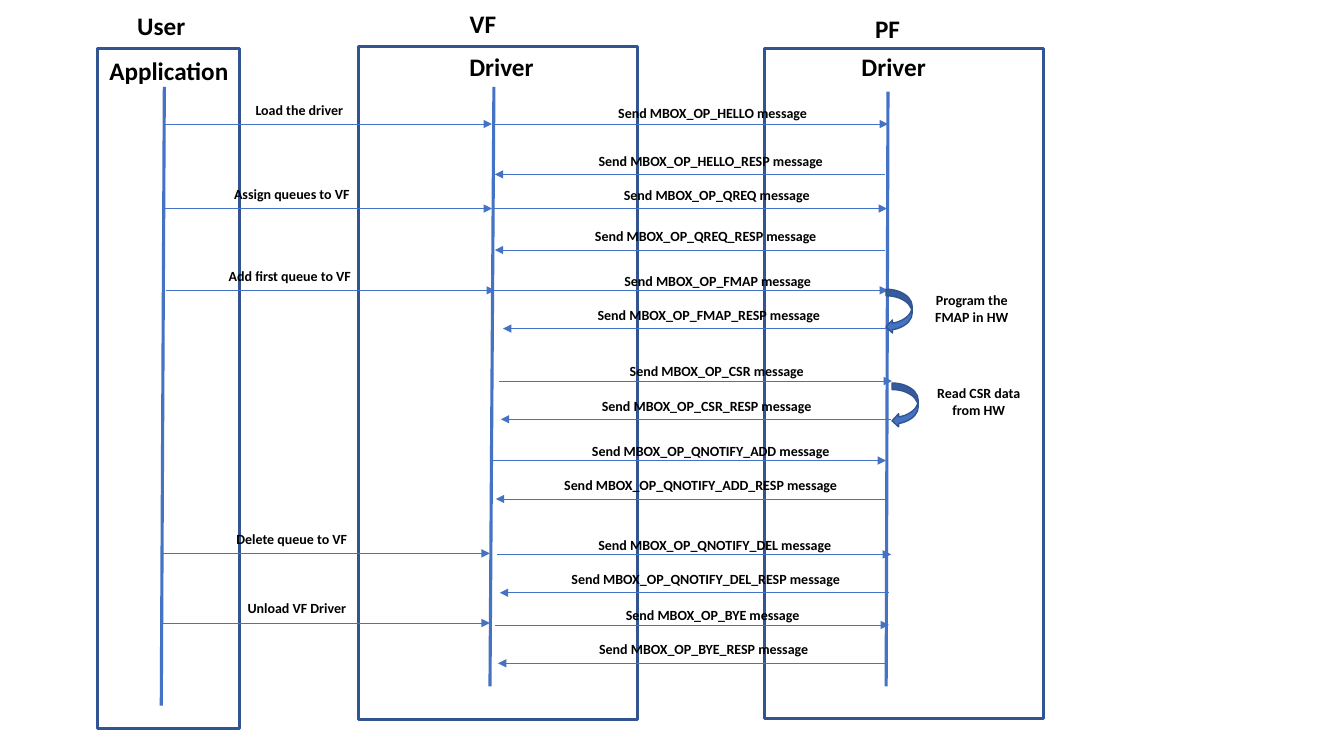
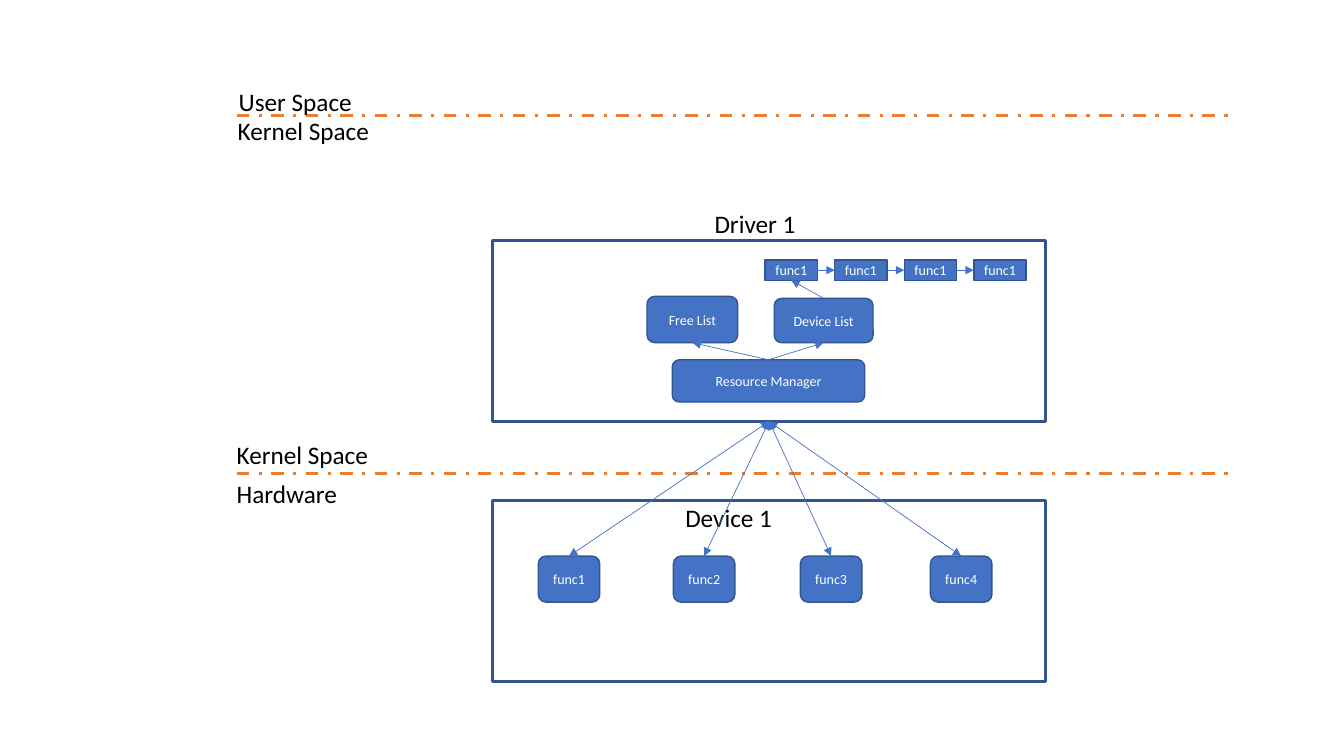
"""Build two driver diagrams: a mailbox message sequence and a resource layout."""
from dataclasses import dataclass

from pptx import Presentation
from pptx.dml.color import RGBColor
from pptx.enum.dml import MSO_LINE_DASH_STYLE as Dash
from pptx.enum.shapes import MSO_CONNECTOR as Connector, MSO_SHAPE as Preset
from pptx.enum.text import MSO_ANCHOR as Anchor, MSO_AUTO_SIZE as AutoSize, PP_ALIGN as Align
from pptx.oxml.ns import qn
from pptx.oxml.xmlchemy import OxmlElement
from pptx.shapes.autoshape import Shape
from pptx.shapes.connector import Connector as ConnectorShape
from pptx.slide import Slide
from pptx.text.text import TextFrame
from pptx.util import Pt

BLACK = RGBColor(0x00, 0x00, 0x00)
WHITE = RGBColor(0xFF, 0xFF, 0xFF)
BLUE = RGBColor(0x44, 0x72, 0xC4)
NAVY = RGBColor(0x32, 0x54, 0x91)
ORANGE = RGBColor(0xED, 0x7D, 0x31)
FONT = "Calibri"
HEADING, BODY = 18, 10
THICK, MEDIUM, THIN = 2.25, 1, 0.5
TOP, LEFT, BOTTOM, RIGHT = range(4)


@dataclass(frozen=True)
class Box:
    left: float
    top: float
    width: float
    height: float


@dataclass(frozen=True)
class Label:
    text: str
    box: Box


@dataclass(frozen=True)
class Lane:
    frame: Box
    lifeline: tuple[float, float, float, float]
    headings: tuple[Label, ...]


@dataclass(frozen=True)
class Message:
    text: str
    center: float
    top: float
    start: float
    end: float
    y: float


def format_text(frame: TextFrame, text: str, size: float, color: RGBColor,
                bold: bool, align: Align) -> None:
    frame.text = text
    frame.word_wrap = True
    paragraph = frame.paragraphs[0]
    paragraph.alignment = align
    font = paragraph.runs[0].font
    font.name, font.size, font.bold = FONT, Pt(size), bold
    font.color.rgb = color


def add_label(slide: Slide, label: Label, size: float = HEADING,
              bold: bool = False, align: Align = Align.LEFT) -> None:
    box = label.box
    shape = slide.shapes.add_textbox(Pt(box.left), Pt(box.top), Pt(box.width), Pt(box.height))
    format_text(shape.text_frame, label.text, size, BLACK, bold, align)
    shape.text_frame.auto_size = AutoSize.SHAPE_TO_FIT_TEXT


def add_box(slide: Slide, box: Box, preset: Preset = Preset.RECTANGLE,
            fill: RGBColor = WHITE, weight: float = THICK) -> Shape:
    shape = slide.shapes.add_shape(
        preset, Pt(box.left), Pt(box.top), Pt(box.width), Pt(box.height))
    shape.shadow.inherit = False
    shape.fill.solid()
    shape.fill.fore_color.rgb = fill
    shape.line.color.rgb = NAVY
    shape.line.width = Pt(weight)
    return shape


def add_node(slide: Slide, label: Label, preset: Preset = Preset.ROUNDED_RECTANGLE) -> Shape:
    shape = add_box(slide, label.box, preset, BLUE, MEDIUM)
    frame = shape.text_frame
    frame.margin_left = frame.margin_right = frame.margin_top = frame.margin_bottom = 0
    frame.vertical_anchor = Anchor.MIDDLE
    format_text(frame, label.text, BODY, WHITE, False, Align.CENTER)
    return shape


def add_line(slide: Slide, start: tuple[float, float] = (0, 0),
             end: tuple[float, float] = (0, 0), color: RGBColor = BLUE,
             weight: float = THIN, arrowheads: tuple[str, ...] = ()) -> ConnectorShape:
    line = slide.shapes.add_connector(
        Connector.STRAIGHT, Pt(start[0]), Pt(start[1]), Pt(end[0]), Pt(end[1]))
    line.line.color.rgb = color
    line.line.width = Pt(weight)
    properties = line._element.spPr
    for name in arrowheads:
        arrowhead = OxmlElement(name)
        arrowhead.set("type", "triangle")
        properties.find(qn("a:ln")).append(arrowhead)
    properties.append(OxmlElement("a:effectLst"))
    return line


def join(slide: Slide, source: Shape, source_side: int, target: Shape, target_side: int,
         arrowheads: tuple[str, ...] = ("a:tailEnd",)) -> None:
    line = add_line(slide, arrowheads=arrowheads)
    line.begin_connect(source, source_side)
    line.end_connect(target, target_side)


def centered(text: str, center: float, top: float, width: float, height: float) -> Label:
    return Label(text, Box(center - width / 2, top, width, height))


def heading(text: str, center: float, top: float) -> Label:
    return centered(text, center, top, 120, 28.8)


LANES = (
    Lane(Box(256.3, 33.1, 199.4, 481), (352.8, 62, 350, 490.3),
         (heading("VF", 344.9, 2.2), heading("Driver", 358.2, 33.1))),
    Lane(Box(545.8, 34.6, 199.4, 478.8), (634.3, 65.5, 633, 490.3),
         (heading("PF", 634, 5.8), heading("Driver", 638.3, 33.1))),
    Lane(Box(69.8, 34.6, 101.5, 486), (117.4, 62, 115.2, 504),
         (heading("User", 115.2, 3.6), heading("Application", 120.6, 36))),
)
USER_CALLS = (
    Message("Load the driver", 213.8, 69.1, 116.6, 351.4, 88.6),
    Message("Assign queues to VF", 208.4, 128.9, 116.6, 351.4, 149),
    Message("Add first queue to VF", 207, 187.2, 118.8, 353.5, 207.4),
    Message("Delete queue to VF", 208.4, 375.1, 115.2, 349.9, 395.3),
    Message("Unload VF Driver", 212, 424.8, 115.9, 349.9, 445),
)
MAILBOX_OPERATIONS = (
    Message("HELLO", 509, 71.3, 352.8, 634.3, 88.6),
    Message("HELLO_RESP", 507.6, 105.1, 632.2, 353.5, 124.6),
    Message("QREQ", 511.9, 129.6, 352.1, 633.6, 149),
    Message("QREQ_RESP", 504, 159.1, 632.2, 353.5, 178.6),
    Message("FMAP", 512.6, 190.8, 352.8, 634.3, 207.4),
    Message("FMAP_RESP", 506.2, 215.3, 637.2, 359.3, 234.7),
    Message("CSR", 511.9, 255.6, 356.4, 637.2, 272.2),
    Message("CSR_RESP", 504.7, 280.1, 636.5, 357.8, 299.5),
    Message("QNOTIFY_ADD", 507.6, 312.5, 352.1, 632.9, 329),
    Message("QNOTIFY_ADD_RESP", 500.4, 337, 632.2, 354.2, 356.4),
    Message("QNOTIFY_DEL", 510.5, 379.4, 355, 636.5, 396),
    Message("QNOTIFY_DEL_RESP", 504, 403.9, 635, 357.1, 423.4),
    Message("BYE", 509, 429.8, 353.5, 635, 446.4),
    Message("BYE_RESP", 502.6, 454.3, 633.6, 355.7, 473.8),
)
HARDWARE_STEPS = (
    (Box(632.9, 206.6, 18.7, 31.7), centered("Program the FMAP in HW", 694.1, 204.5, 90.7, 31.7)),
    (Box(637.2, 273.6, 18.7, 31.7), centered("Read CSR data from HW", 699.1, 271.4, 90.7, 31.7)),
)


def add_message(slide: Slide, message: Message, text: str, width: float) -> None:
    add_line(slide, (message.start, message.y), (message.end, message.y),
             arrowheads=("a:tailEnd",))
    label = centered(text, message.center, message.top, width, 19.4)
    add_label(slide, label, BODY, True, Align.CENTER)


def build_sequence(slide: Slide) -> None:
    for lane in LANES:
        add_box(slide, lane.frame)
        x1, y1, x2, y2 = lane.lifeline
        add_line(slide, (x1, y1), (x2, y2), weight=THICK)
        for label in lane.headings:
            add_label(slide, label, bold=True, align=Align.CENTER)
    for call in USER_CALLS:
        add_message(slide, call, call.text, 113)
    for operation in MAILBOX_OPERATIONS:
        add_message(slide, operation, f"Send MBOX_OP_{operation.text} message", 259.2)
    for loop, label in HARDWARE_STEPS:
        add_box(slide, loop, Preset.CURVED_LEFT_ARROW, BLUE, MEDIUM)
        add_label(slide, label, BODY, True, Align.CENTER)


SPACE_BOUNDARIES = (338.4, 82.8)
SPACE_LABELS = (
    Label("Hardware", Box(162, 338.4, 121, 28.8)),
    Label("Kernel Space", Box(162, 310.3, 121, 28.8)),
    Label("Kernel Space", Box(162.7, 78.5, 121, 28.8)),
    Label("User Space", Box(163.4, 58.3, 121, 28.8)),
)
DEVICE = Label("Device 1", Box(482.4, 355, 82.8, 28.8))
DRIVER = Label("Driver 1", Box(503.3, 145.4, 82.8, 28.8))
DEVICE_FUNCTION_LEFTS = (384.5, 481, 571.7, 664.6)
LISTED_FUNCTIONS = 4


def build_resources(slide: Slide) -> None:
    for y in SPACE_BOUNDARIES:
        boundary = add_line(slide, (169.2, y), (879.1, y), ORANGE, THICK)
        boundary.line.dash_style = Dash.DASH_DOT
    for label in SPACE_LABELS:
        add_label(slide, label)

    add_box(slide, Box(352.1, 357.8, 394.6, 128.9))
    add_label(slide, DEVICE)
    driver = add_box(slide, Box(352.1, 172.1, 394.6, 128.9))
    add_label(slide, DRIVER)

    for number, left in enumerate(DEVICE_FUNCTION_LEFTS, start=1):
        function = add_node(slide, Label(f"func{number}", Box(left, 397.2, 43.9, 32.9)))
        join(slide, driver, BOTTOM, function, TOP, ("a:headEnd", "a:tailEnd"))

    manager = add_node(slide, Label("Resource Manager", Box(480.2, 257, 137.5, 30.2)))
    free_list = add_node(slide, Label("Free List", Box(462.2, 211.7, 64.8, 33.1)))
    device_list = add_node(slide, Label("Device List", Box(553, 213.1, 70.6, 31.7)))
    chain = [add_node(slide, Label("func1", Box(546.5 + 49.7 * index, 185.8, 37.4, 14.4)),
                      Preset.RECTANGLE)
             for index in range(LISTED_FUNCTIONS)]
    for resource_list in (free_list, device_list):
        join(slide, manager, TOP, resource_list, BOTTOM)
    join(slide, device_list, TOP, chain[0], BOTTOM)
    for current, following in zip(chain, chain[1:]):
        join(slide, current, RIGHT, following, LEFT)


def main() -> None:
    presentation = Presentation()
    presentation.slide_width, presentation.slide_height = Pt(960), Pt(540)
    blank = presentation.slide_layouts.get_by_name("Blank")
    for build in (build_sequence, build_resources):
        build(presentation.slides.add_slide(blank))
    presentation.save("out.pptx")


main()
